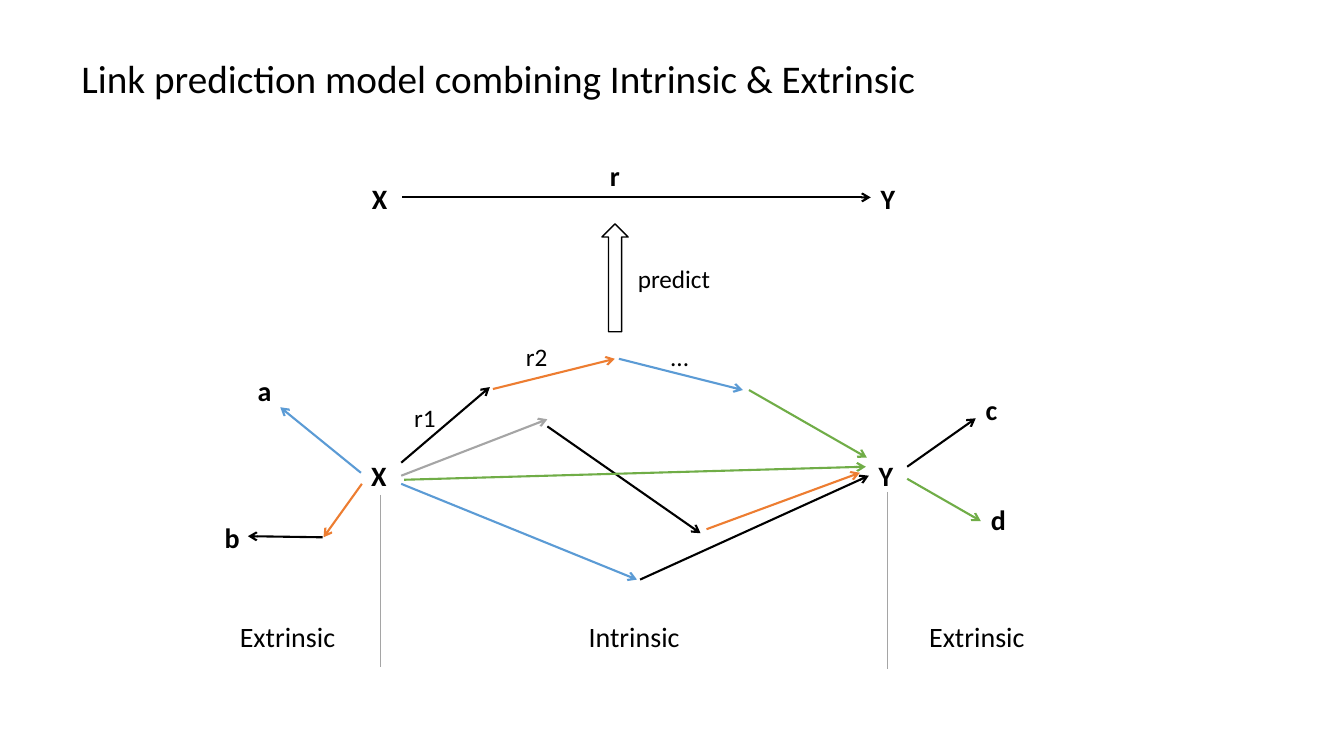
from dataclasses import dataclass

from lxml import etree
from pptx import Presentation
from pptx.dml.color import RGBColor
from pptx.enum import shapes, text
from pptx.oxml import ns
from pptx.util import Pt


@dataclass(frozen=True)
class Theme:
    font: str = "Calibri"
    black: str = "000000"
    white: str = "FFFFFF"
    gray: str = "A5A5A5"
    orange: str = "ED7D31"
    blue: str = "5B9BD5"
    green: str = "70AD47"
    title: int = 28
    node: int = 20
    label: int = 18
    link: float = 1.5
    outline: float = 1
    divider: float = 0.5


T = Theme()


def write(tf, value, size=T.node, bold=False, wrap=True, anchor=text.MSO_ANCHOR.TOP):
    tf.word_wrap, tf.vertical_anchor = wrap, anchor
    p = tf.paragraphs[0]
    p.alignment = text.PP_ALIGN.LEFT
    r = p.add_run()
    r.text = value
    r.font.name, r.font.size, r.font.bold = T.font, Pt(size), bold
    r.font.color.rgb = RGBColor.from_string(T.black)
    return p


def add_text(s, box, x, y, w, value, **fmt):
    h = fmt.get("size", T.node) * 1.6
    sp = s.shapes.add_textbox(Pt(box[0] + x), Pt(box[1] + y), Pt(w), Pt(h))
    write(sp.text_frame, value, **fmt)


def add_line(s, box, start, end, color=T.black, width=T.link, arrow=True):
    ends = [Pt(o + v) for point in (start, end) for o, v in zip(box, point)]
    sp = s.shapes.add_connector(shapes.MSO_CONNECTOR.STRAIGHT, *ends)
    sp.line.color.rgb = RGBColor.from_string(color)
    sp.line.width = Pt(width)
    if arrow:
        etree.SubElement(sp.line._get_or_add_ln(), ns.qn("a:tailEnd"), type="arrow")
    etree.SubElement(sp._element.spPr, ns.qn("a:effectLst"))


def add_graph(s, box, links, nodes, caption):
    """Coloured links, bold node names and a region caption."""
    for start, end, color in links:
        add_line(s, box, start, end, color)
    for name, x, y in nodes:
        add_text(s, box, x, y, 29, name, bold=True)
    name, x, w = caption
    add_text(s, box, x, 199, w, name, wrap=False)


def add_title(s, box, value):
    sp = s.shapes.title
    sp.left, sp.top, sp.width, sp.height = map(Pt, box)
    p = write(sp.text_frame, value, size=T.title, anchor=text.MSO_ANCHOR.MIDDLE)
    p.line_spacing = 0.9


def add_prediction(s, box):
    """Predicted relation between X and Y, with the block arrow below it."""
    add_line(s, box, (29.3, 31), (364, 31))
    for name, x in (("X", 0.5), ("Y", 364)):
        add_text(s, box, x, 16, 29, name, bold=True)
    add_text(s, box, 170.5, 0, 22, "r", bold=True, wrap=False)
    sp = s.shapes.add_shape(shapes.MSO_SHAPE.UP_ARROW,
                            Pt(box[0] + 172), Pt(box[1] + 50), Pt(18.7), Pt(77))
    sp.shadow.inherit = False
    sp.fill.solid()
    sp.fill.fore_color.rgb = RGBColor.from_string(T.white)
    sp.line.color.rgb = RGBColor.from_string(T.black)
    sp.line.width = Pt(T.outline)
    add_text(s, box, 190.5, 74.5, 71, "predict", size=T.label)


def add_intrinsic(s, box):
    """Paths that connect X to Y."""
    links = [
        # Middle path
        ((28.6, 99.8), (133, 59.5), T.gray),
        ((133, 64.6), (242.4, 140.9), T.black),
        ((246.7, 138), (356.2, 97.7), T.orange),
        # Lower path
        ((28.6, 105.6), (197, 174), T.blue),
        ((199.2, 174), (362.6, 99.8), T.black),
        # Upper path
        ((28.6, 90.5), (91.9, 36.5), T.black),
        ((94.1, 37.9), (181.2, 16.3), T.orange),
        ((184.1, 16.3), (272.6, 38.6), T.blue),
        ((277, 38.6), (361.2, 86.9), T.green),
        # Direct link
        ((30.7, 102.7), (360.5, 93.4), T.green),
    ]
    add_graph(s, box, links, [("X", 0, 84), ("Y", 362.6, 84)], ("Intrinsic", 155.3, 84))
    for name, x, y in (("r1", 30.7, 43.7), ("r2", 110.6, 0), ("...", 213.6, 0)):
        add_text(s, box, x, y, 39, name, size=T.label)
    for x, top, bottom in ((13.4, 113.5, 236.6), (375.6, 111.4, 238)):
        add_line(s, box, (x, top), (x, bottom), T.gray, T.divider, arrow=False)


def add_extrinsic_x(s, box):
    """Links that leave X."""
    links = [
        ((104.8, 97.7), (47.2, 50.9), T.blue),
        ((105.5, 105.6), (78.1, 143.8), T.orange),
        ((77.4, 143.8), (24.1, 143), T.black),
    ]
    add_graph(s, box, links, [("a", 24, 23.5), ("b", 0.4, 128)], ("Extrinsic", 11.2, 90.7))


def add_extrinsic_y(s, box):
    """Links that leave Y."""
    links = [
        ((0, 93.4), (49, 58.8), T.black),
        ((0, 102), (52.6, 132.2), T.green),
    ]
    add_graph(s, box, links, [("c", 49, 36.5), ("d", 52.6, 115.7)], ("Extrinsic", 8.6, 90.7))


prs = Presentation()
prs.slide_width, prs.slide_height = Pt(960), Pt(540)
s = prs.slides.add_slide(prs.slide_layouts[5])  # Title Only

add_title(s, (51, 20, 828, 75.6), "Link prediction model combining Intrinsic & Extrinsic")
add_prediction(s, (258, 110))
add_intrinsic(s, (258, 240))
add_extrinsic_x(s, (153, 240))
add_extrinsic_y(s, (648, 240))

prs.save("out.pptx")
